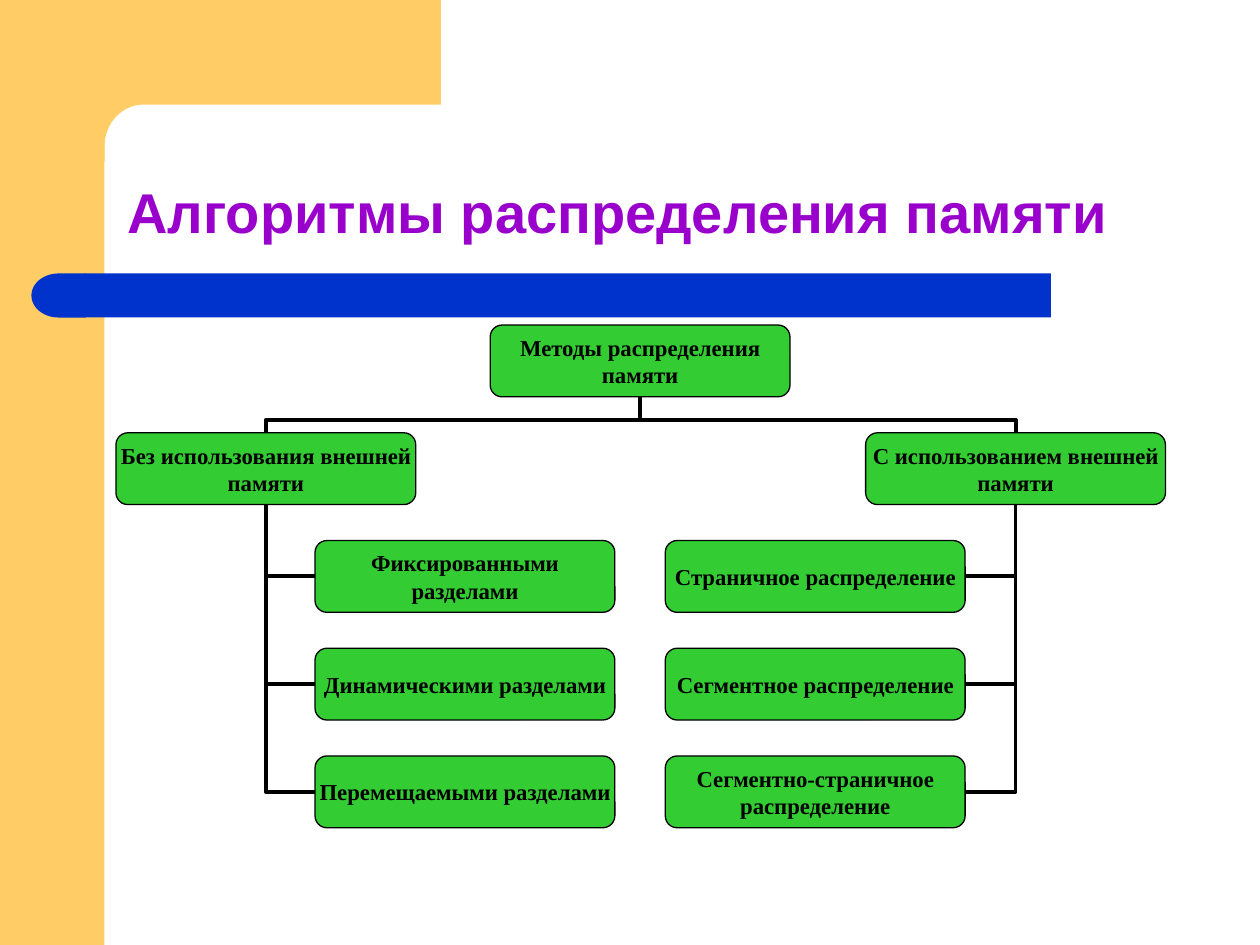
from math import cos, pi, sin

from lxml.etree import SubElement
from pptx import Presentation
from pptx.dml.color import RGBColor
from pptx.enum.shapes import MSO_CONNECTOR, MSO_SHAPE
from pptx.enum.text import MSO_ANCHOR, PP_ALIGN
from pptx.oxml.ns import qn
from pptx.util import Inches, Pt

# Content
TITLE = "Алгоритмы распределения памяти"
ROOT = "Методы распределения памяти"
BRANCHES = [
    {"text": "Без использования внешней памяти", "left": 0.92, "leaf_left": 2.5,
     "leaf_site": 1, "turn": 90, "flip": {"flipH": "1", "flipV": "1"},
     "leaves": ["Фиксированными разделами", "Динамическими разделами",
                "Перемещаемыми разделами"]},
    {"text": "С использованием внешней памяти", "left": 6.87, "leaf_left": 5.28,
     "leaf_site": 3, "turn": 270, "flip": {"flipV": "1"},
     "leaves": ["Страничное распределение", "Сегментное распределение",
                "Сегментно-страничное распределение"]},
]

THEME = {
    "sand": RGBColor(0xFF, 0xCC, 0x66),
    "blue": RGBColor(0x00, 0x33, 0xCC),
    "green": RGBColor(0x33, 0xCC, 0x33),
    "black": RGBColor(0, 0, 0),
    "title": {"name": "Arial", "size": Pt(32), "bold": True},
    "title_color": RGBColor(0x99, 0x00, 0xCC),
    "box": {"name": "Times New Roman", "size": Pt(13), "bold": True},
    "box_line": Pt(0.75),
    "link_line": Pt(2.25),
}

# Chart grid, in inches
BOX_WIDTH, BOX_HEIGHT = 2.38, 0.57
ROOT_LEFT, ROOT_TOP, ROW_STEP = 3.89, 2.58, 0.855
SITE_BOTTOM, SITE_TOP = 2, 0

presentation = Presentation()
presentation.slide_width, presentation.slide_height = Inches(10), Inches(7.5)
slide = presentation.slides.add_slide(presentation.slide_layouts[5])
shapes = slide.shapes


def set_all(target, values):
    for name, value in values.items():
        setattr(target, name, value)


def paint(shape, color):
    shape.shadow.inherit = False
    shape.fill.solid()
    shape.fill.fore_color.rgb = color
    shape.line.fill.background()
    return shape


def add_plain(kind, left, top, width, height, color):
    return paint(shapes.add_shape(kind, Inches(left), Inches(top),
                                  Inches(width), Inches(height)), color)


def write(shape, text, font, color, frame_format, paragraph_format):
    frame = shape.text_frame
    frame.text = text
    set_all(frame, {"word_wrap": True, **frame_format})
    paragraph = frame.paragraphs[0]
    set_all(paragraph, paragraph_format)
    set_all(paragraph.runs[0].font, font)
    paragraph.runs[0].font.color.rgb = color


def add_box(text, left, row):
    box = add_plain(MSO_SHAPE.ROUNDED_RECTANGLE, left, ROOT_TOP + row * ROW_STEP,
                    BOX_WIDTH, BOX_HEIGHT, THEME["green"])
    box.line.color.rgb = THEME["black"]
    box.line.width = THEME["box_line"]
    margins = {f"margin_{side}": 0 for side in ("left", "top", "right", "bottom")}
    write(box, text, THEME["box"], THEME["black"],
          {"vertical_anchor": MSO_ANCHOR.MIDDLE, **margins},
          {"alignment": PP_ALIGN.CENTER})
    return box


def add_link(start, start_site, end, end_site):
    link = shapes.add_connector(MSO_CONNECTOR.ELBOW, 0, 0, 0, 0)
    link.begin_connect(start, start_site)
    link.end_connect(end, end_site)
    link.line.color.rgb = THEME["black"]
    link.line.width = THEME["link_line"]
    properties = link._element.spPr
    SubElement(properties, qn("a:effectLst"))
    return link, properties.find(qn("a:xfrm")), properties.find(qn("a:prstGeom"))


def link_leaf(leaf, branch, site):
    _, _, geometry = add_link(leaf, site, branch, SITE_BOTTOM)
    geometry.set("prst", "bentConnector2")


def link_branch(branch, root, turn, flip):
    link, transform, geometry = add_link(branch, SITE_TOP, root, SITE_BOTTOM)
    # A quarter turn swaps the sides of the frame about its centre
    width, height = link.width, link.height
    shift = (width - height) // 2
    set_all(link, {"left": link.left + shift, "top": link.top - shift,
                   "width": height, "height": width})
    for name in ("flipH", "flipV"):
        transform.attrib.pop(name, None)
    for name, value in {"rot": str(turn * 60000), **flip}.items():
        transform.set(name, value)
    guides = geometry.find(qn("a:avLst"))
    if guides is None:
        guides = SubElement(geometry, qn("a:avLst"))
    SubElement(guides, qn("a:gd"), name="adj1", fmla="val 35700")


# Side band and corner with a rounded inner edge
add_plain(MSO_SHAPE.RECTANGLE, 0, 0, 0.83, 7.5, THEME["sand"])
angles = [pi / 2 * step / 16 for step in range(17)]
curve = [(1.14 - 0.31 * sin(angle), 1.16 - 0.33 * cos(angle)) for angle in angles]
outline = [(3.5, 0), (3.5, 0.83), *curve, (0.83, 1.28), (0.5, 1.28), (0.5, 0)]
points = [(Inches(x), Inches(y)) for x, y in outline]
builder = shapes.build_freeform(*points[0], scale=1.0)
builder.add_line_segments(points[1:], close=True)
paint(builder.convert_to_shape(), THEME["sand"])

# Bar under the title
add_plain(MSO_SHAPE.RECTANGLE, 0.67, 2.17, 7.67, 0.35, THEME["blue"])
bar_end = add_plain(MSO_SHAPE.FLOWCHART_DELAY, 0.25, 2.17, 0.43, 0.35, THEME["blue"])
bar_end._element.spPr.find(qn("a:xfrm")).set("flipH", "1")

# Title
title = shapes.title
set_all(title, {"left": Inches(0.91), "top": Inches(0.91),
                "width": Inches(8.51), "height": Inches(1.09)})
write(title, TITLE, THEME["title"], THEME["title_color"],
      {"vertical_anchor": MSO_ANCHOR.BOTTOM},
      {"alignment": PP_ALIGN.LEFT, "line_spacing": 0.9})
shapes._spTree.append(title._element)

# Tree of methods
root_box = add_box(ROOT, ROOT_LEFT, 0)
boxes = [root_box]
for branch in BRANCHES:
    branch_box = add_box(branch["text"], branch["left"], 1)
    boxes.append(branch_box)
    for row, text in enumerate(branch["leaves"], start=2):
        leaf_box = add_box(text, branch["leaf_left"], row)
        boxes.append(leaf_box)
        link_leaf(leaf_box, branch_box, branch["leaf_site"])
    link_branch(branch_box, root_box, branch["turn"], branch["flip"])

# Boxes lie above the links
for box in boxes:
    shapes._spTree.append(box._element)

presentation.save("out.pptx")
